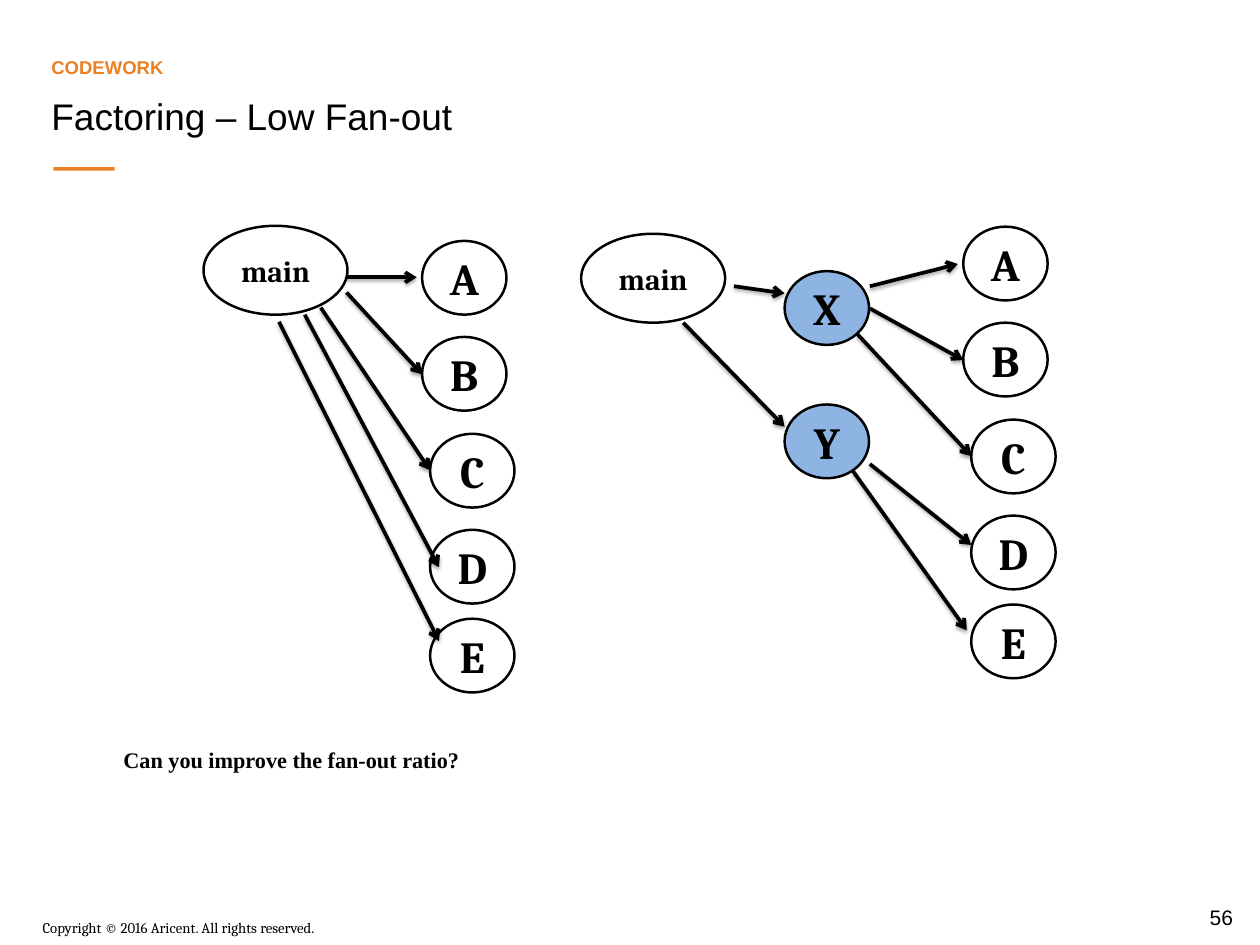
"""Build a slide comparing a high fan-out call tree with a factored one."""
from lxml import etree
from pptx import Presentation
from pptx.dml.color import RGBColor
from pptx.enum.shapes import MSO_CONNECTOR, MSO_SHAPE
from pptx.enum.text import MSO_ANCHOR, PP_ALIGN
from pptx.oxml import parse_xml
from pptx.oxml.ns import qn
from pptx.util import Inches, Pt

BLACK, WHITE, ORANGE, BLUE = "000000", "FFFFFF", "EB8024", "8EB4E3"

CAPTIONS = [
    ("56", (13.31, 10.12, 0.87, 0.39), "Arial", 17, BLACK, False, PP_ALIGN.CENTER, MSO_ANCHOR.MIDDLE),
    ("Copyright © 2016 Aricent. All rights reserved.", (0.38, 10.28, 7.09, 0.3),
     "Cambria", 12, BLACK, False, PP_ALIGN.LEFT, MSO_ANCHOR.TOP),
    ("CODEWORK", (0.48, 0.31, 11.13, 0.62), "Arial", 15, ORANGE, True, PP_ALIGN.LEFT, MSO_ANCHOR.BOTTOM),
    ("Factoring – Low Fan-out", (0.48, 1, 11.13, 0.85),
     "Arial", 30, BLACK, False, PP_ALIGN.LEFT, MSO_ANCHOR.TOP),
    ("Can you improve the fan-out ratio?", (1.29, 8.34, 5.08, 0.4),
     "Times New Roman", 18, BLACK, True, PP_ALIGN.LEFT, MSO_ANCHOR.TOP),
]
TITLE_RULE = (0.6, 1.88, 0.69, 0.04)

MAIN_SIZE = (1.62, 1)
MODULE_SIZE = (0.95, 0.83)
MODULE_OFFSETS = {"A": (0, 0), "B": (0, 1.08), "C": (0.09, 2.17), "D": (0.09, 3.25), "E": (0.09, 4.25)}

CALL_TREES = [
    {
        "main": (2.29, 2.54),
        "modules": (4.75, 2.71),
        "factors": {},
        "calls": [
            (3.9, 3.12, 4.69, 3.12),
            (3.9, 3.29, 4.75, 4.21),
            (3.61, 3.46, 4.84, 5.29),
            (3.43, 3.54, 4.94, 6.38),
            (3.14, 3.62, 4.94, 7.21),
        ],
    },
    {
        "main": (6.54, 2.63),
        "modules": (10.84, 2.55),
        "factors": {"X": (8.83, 3.05), "Y": (8.83, 4.55)},
        "calls": [
            (9.79, 3.22, 10.78, 2.97),
            (9.79, 3.47, 10.84, 4.05),
            (9.65, 3.76, 10.93, 5.13),
            (9.79, 5.22, 10.93, 6.13),
            (9.6, 5.3, 10.88, 7.09),
            (7.69, 3.63, 8.83, 4.8),
            (8.26, 3.22, 8.83, 3.3),
        ],
    },
]

SHADOW_XML = (
    '<a:effectLst xmlns:a="http://schemas.openxmlformats.org/drawingml/2006/main">'
    f'<a:outerShdw blurRad="{Pt(3.1)}" dist="{Pt(1.8)}" dir="5400000" rotWithShape="0">'
    f'<a:srgbClr val="{BLACK}"><a:alpha val="35000"/></a:srgbClr>'
    '</a:outerShdw></a:effectLst>'
)


def paint(color_format, hex_color):
    color_format.rgb = RGBColor.from_string(hex_color)


def write(frame, text, font_name, size, color, bold, align, anchor):
    frame.word_wrap = True
    frame.vertical_anchor = anchor
    frame.text = text
    paragraph = frame.paragraphs[0]
    paragraph.alignment = align
    font = paragraph.runs[0].font
    font.name, font.size, font.bold = font_name, Pt(size), bold
    paint(font.color, color)


def add_filled(shapes, preset, box, fill):
    shape = shapes.add_shape(preset, *map(Inches, box))
    shape.shadow.inherit = False
    shape.fill.solid()
    paint(shape.fill.fore_color, fill)
    return shape


def add_node(shapes, label, position, size, fill, text_size):
    node = add_filled(shapes, MSO_SHAPE.OVAL, (*position, *size), fill)
    paint(node.line.color, BLACK)
    node.line.width = Pt(2)
    write(node.text_frame, label, "Cambria", text_size, BLACK, True, PP_ALIGN.CENTER, MSO_ANCHOR.MIDDLE)


def add_call(shapes, ends):
    call = shapes.add_connector(MSO_CONNECTOR.STRAIGHT, *map(Inches, ends))
    paint(call.line.color, BLACK)
    call.line.width = Pt(3)
    etree.SubElement(call.line._get_or_add_ln(), qn("a:tailEnd"), type="arrow")
    call._element.spPr.append(parse_xml(SHADOW_XML))


def add_call_tree(slide, tree):
    shapes = slide.shapes.add_group_shape().shapes
    add_node(shapes, "main", tree["main"], MAIN_SIZE, WHITE, 24)
    left, top = tree["modules"]
    for label, (dx, dy) in MODULE_OFFSETS.items():
        add_node(shapes, label, (left + dx, top + dy), MODULE_SIZE, WHITE, 36)
    for label, position in tree["factors"].items():
        add_node(shapes, label, position, MODULE_SIZE, BLUE, 36)
    for ends in tree["calls"]:
        add_call(shapes, ends)


def main():
    deck = Presentation()
    deck.slide_width, deck.slide_height = Inches(14.18), Inches(10.63)
    slide = deck.slides.add_slide(deck.slide_layouts[6])
    title_rule = add_filled(slide.shapes, MSO_SHAPE.RECTANGLE, TITLE_RULE, ORANGE)
    title_rule.line.fill.background()
    for text, box, *style in CAPTIONS:
        caption = slide.shapes.add_textbox(*map(Inches, box))
        write(caption.text_frame, text, *style)
    for tree in CALL_TREES:
        add_call_tree(slide, tree)
    deck.save("out.pptx")


if __name__ == "__main__":
    main()
